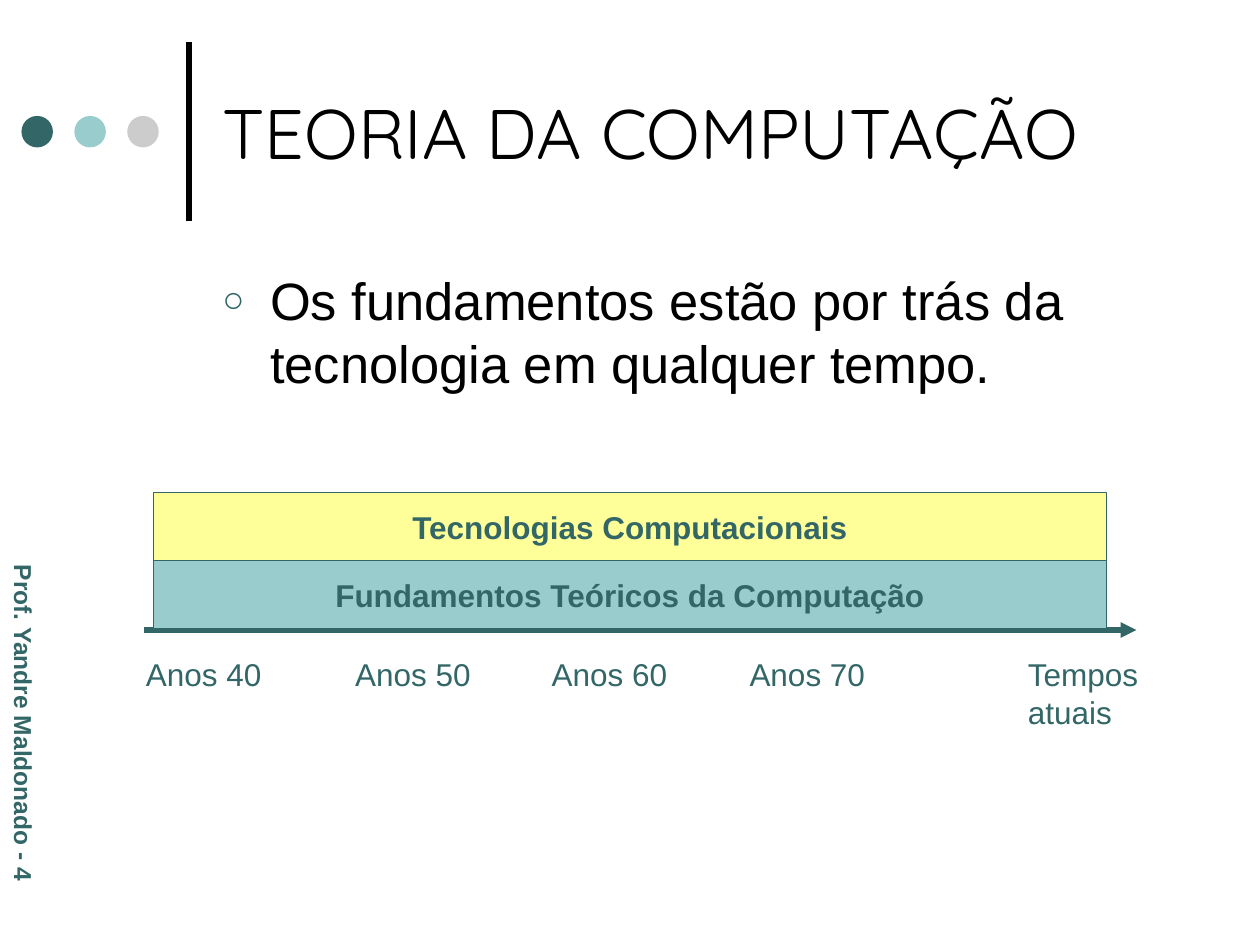
import pptx
import pptx.dml.color
import pptx.enum.shapes
import pptx.enum.text
import pptx.oxml
import pptx.oxml.ns
import pptx.util

W, H = 10, 7.5
LEFT, WIDTH = W / 6, 7.67
AXIS_Y = H * 2 / 3
BAND_X, BAND_W, BAND_H = 1.22, 7.56, 0.54
COLORS = {"teal": "336666", "aqua": "99CCCC", "gray": "CCCCCC",
          "yellow": "FFFF99", "black": "000000"}
ALIGN = pptx.enum.text.PP_ALIGN
ANCHOR = pptx.enum.text.MSO_ANCHOR
SHAPE = pptx.enum.shapes.MSO_SHAPE


def rgb(name):
    """Return the palette colour with this name."""
    return pptx.dml.color.RGBColor.from_string(COLORS[name])


def inches(*values):
    """Convert numbers to lengths in inches."""
    return [pptx.util.Inches(v) for v in values]


def add_xml(parent, tag, **attrs):
    """Append a DrawingML element with attributes."""
    child = pptx.oxml.parse_xml(f"<a:{tag} {pptx.oxml.ns.nsdecls('a')}/>")
    for key, value in attrs.items():
        child.set(key, value)
    parent.append(child)
    return child


def write(sp, text, size=18, color="teal", font="Arial", bold=False,
          align=ALIGN.LEFT, anchor=ANCHOR.TOP, wrap=True):
    """Put formatted text in a shape and return its paragraph."""
    tf = sp.text_frame
    tf.auto_size = pptx.enum.text.MSO_AUTO_SIZE.NONE
    tf.word_wrap = wrap
    tf.vertical_anchor = anchor
    p = tf.paragraphs[0]
    p.alignment = align
    r = p.add_run()
    r.text = text
    r.font.name, r.font.size, r.font.bold = font, pptx.util.Pt(size), bold
    r.font.color.rgb = rgb(color)
    return p


def add_text(s, text, x, y, w, h, **fmt):
    """Add a text box and return it with its paragraph."""
    sp = s.shapes.add_textbox(*inches(x, y, w, h))
    return sp, write(sp, text, **fmt)


def add_block(s, kind, x, y, w, h, fill, line=None):
    """Add a filled preset shape, outlined when a line colour is given."""
    sp = s.shapes.add_shape(kind, *inches(x, y, w, h))
    sp.shadow.inherit = False
    sp.fill.solid()
    sp.fill.fore_color.rgb = rgb(fill)
    if line:
        sp.line.color.rgb = rgb(line)
        sp.line.width = pptx.util.Pt(0.75)
    else:
        sp.line.fill.background()
    return sp


def add_line(s, x1, y1, x2, y2, color, arrow=False):
    """Add a thick straight line, with an arrowhead if asked."""
    straight = pptx.enum.shapes.MSO_CONNECTOR.STRAIGHT
    sp = s.shapes.add_connector(straight, *inches(x1, y1, x2, y2))
    sp.line.color.rgb = rgb(color)
    sp.line.width = pptx.util.Pt(3)
    if arrow:
        add_xml(sp.line._get_or_add_ln(), "tailEnd", type="triangle")
    add_xml(sp._element.spPr, "effectLst")


def add_header(s, text):
    """Draw the rule and dots, and format the title."""
    add_line(s, 1.5, 1.75, 1.5, 0.33, "black")
    for i, color in enumerate(["teal", "aqua", "gray"]):
        add_block(s, SHAPE.OVAL, 0.17 + 0.42 * i, 0.92, 0.25, 0.25, color)
    sp = s.shapes.title
    sp.left, sp.top, sp.width, sp.height = inches(LEFT, 0.21, WIDTH, 1.67)
    write(sp, text, size=40, color="black", font="Quicksand", anchor=ANCHOR.MIDDLE)


def add_bullet(s, text):
    """Add the main statement with a hollow round bullet."""
    _, p = add_text(s, text, LEFT, 2.08, WIDTH, 4.5, size=30, color="black")
    p.space_before = pptx.util.Pt(7.5)
    pPr = p._p.get_or_add_pPr()
    indent = pptx.util.Inches(0.38)
    pPr.set("marL", str(indent))
    pPr.set("indent", str(-indent))
    add_xml(add_xml(pPr, "buClr"), "srgbClr", val=COLORS["teal"])
    add_xml(pPr, "buSzPct", val="70000")
    add_xml(pPr, "buFont", typeface="Arial")
    add_xml(pPr, "buChar", char="○")


def add_timeline(s):
    """Draw the time axis, its labels and the stacked bands."""
    add_line(s, 1.14, AXIS_Y, 9.02, AXIS_Y, "teal", arrow=True)
    label_y = AXIS_Y + 0.15
    for decade, x in [(40, 1.06), (50, 2.72), (60, 4.28), (70, 5.85)]:
        add_text(s, f"Anos {decade}", x, label_y, 1.11, 0.4, wrap=False)
    add_text(s, "Tempos atuais", 8.06, label_y, 1.28, 0.7)
    bands = [("Fundamentos Teóricos da Computação", "aqua"),
             ("Tecnologias Computacionais", "yellow")]
    for i, (text, fill) in enumerate(bands, start=1):
        y = AXIS_Y - 0.01 - BAND_H * i
        sp = add_block(s, SHAPE.RECTANGLE, BAND_X, y, BAND_W, BAND_H, fill, "teal")
        write(sp, text, bold=True, align=ALIGN.CENTER, anchor=ANCHOR.MIDDLE)


def main():
    """Build the slide and save it."""
    prs = pptx.Presentation()
    prs.slide_width, prs.slide_height = inches(W, H)
    s = prs.slides.add_slide(prs.slide_layouts[5])
    add_header(s, "TEORIA DA COMPUTAÇÃO")
    add_bullet(s, "Os fundamentos estão por trás da tecnologia em qualquer tempo.")
    add_timeline(s)
    sp, _ = add_text(s, "Prof. Yandre Maldonado - 4", -1.35, 5.75, 3.07, 0.34,
                     size=14, bold=True, wrap=False)
    sp.rotation = 90
    prs.save("out.pptx")


if __name__ == "__main__":
    main()
